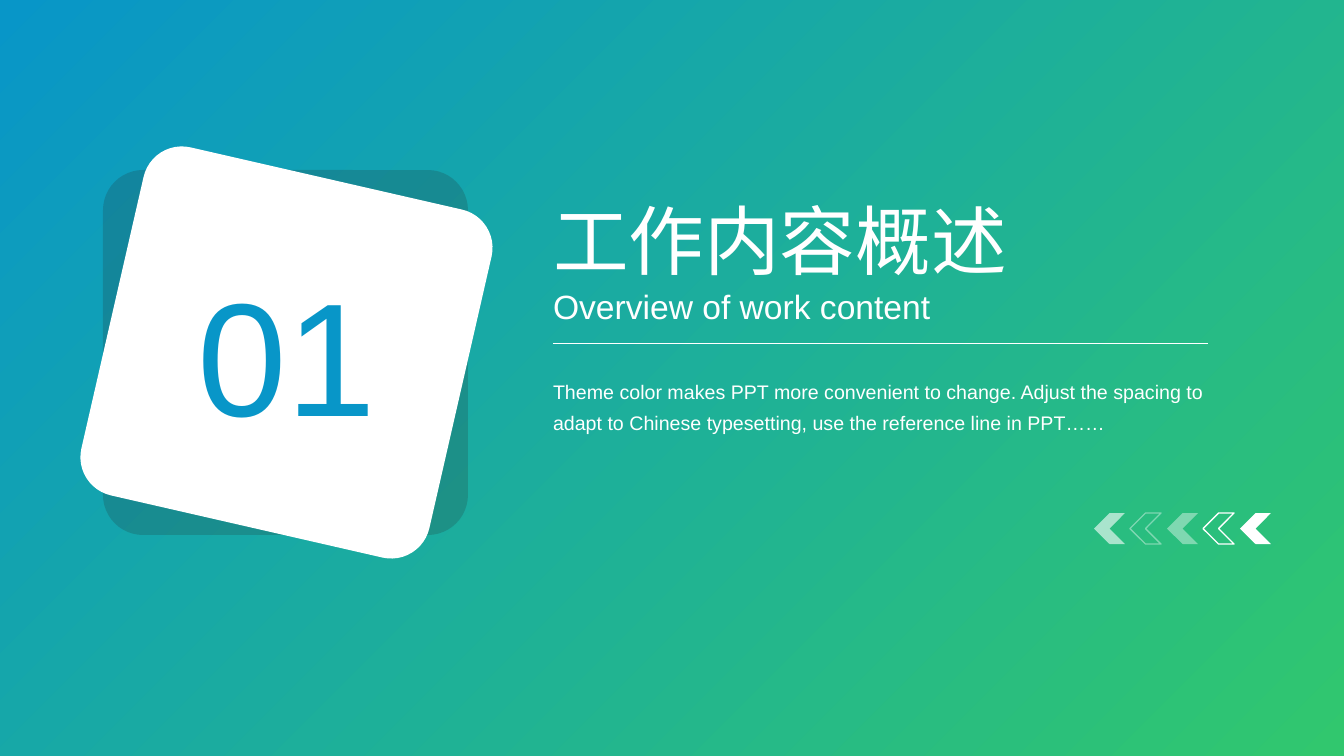
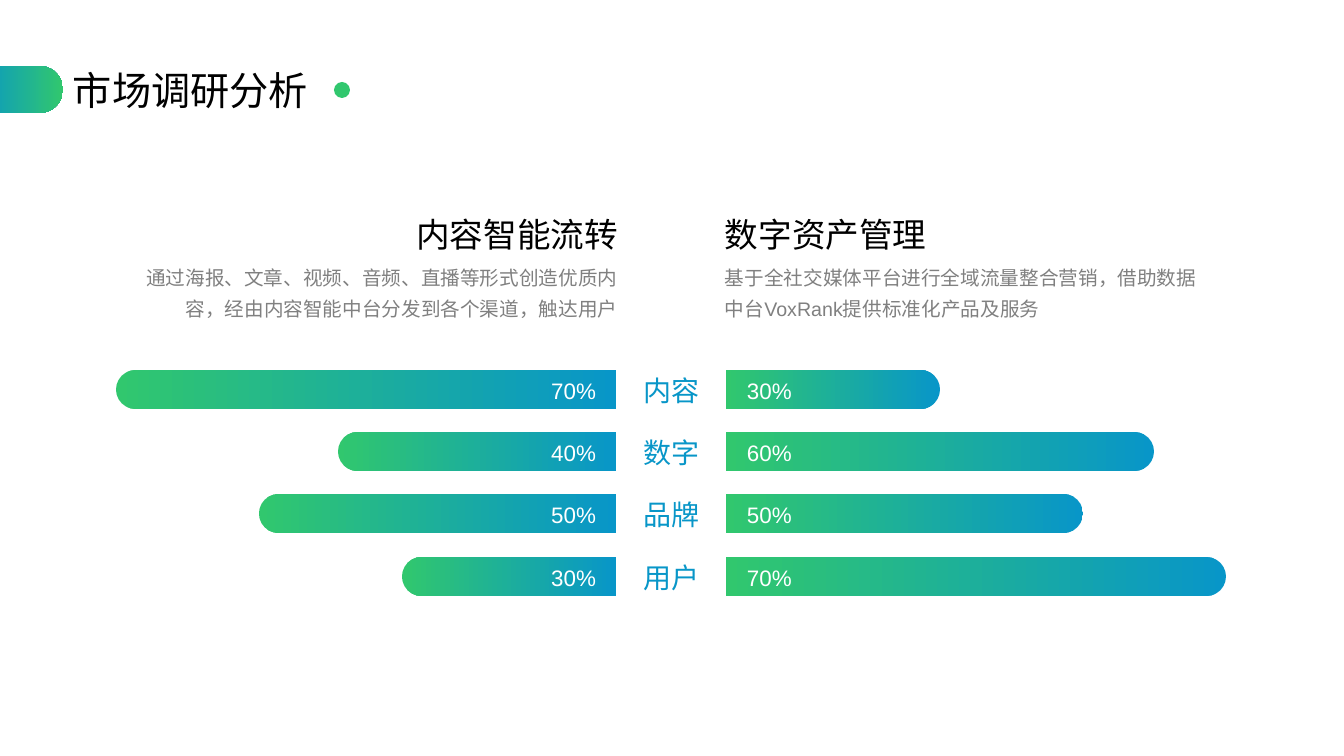
import dataclasses

import lxml.etree
import pptx
import pptx.dml.color
import pptx.enum.shapes
import pptx.enum.text
import pptx.oxml.ns
import pptx.util

WIDE, HIGH = 1344, 756
KIND = pptx.enum.shapes.MSO_SHAPE
ALIGN = pptx.enum.text.PP_ALIGN
ANCHOR = pptx.enum.text.MSO_ANCHOR
qn = pptx.oxml.ns.qn


@dataclasses.dataclass(frozen=True)
class Theme:
    font: str = "Arial"
    blue: str = "0896C8"
    green: str = "31C76E"
    white: str = "FFFFFF"
    black: str = "000000"
    grey: str = "808080"
    shade: str = "262626"
    number: int = 115
    cover: int = 54
    title: int = 28
    head: int = 24
    label: int = 20
    value: int = 16
    body: int = 14


LOOK = Theme()


def px(n):
    return pptx.util.Emu(round(n * 12192000 / WIDE))


def rgb(code):
    return pptx.dml.color.RGBColor.from_string(code)


def blend(fill, first, last, angle):
    """Two-colour gradient; the angle runs counter-clockwise."""
    fill.gradient()
    fill.gradient_angle = angle
    for stop, code in zip(fill.gradient_stops, (first, last)):
        stop.color.rgb = rgb(code)


def fade(shape, share):
    """Set the opacity of the shape's solid colours, in percent."""
    for node in shape.element.spPr.iter(qn("a:srgbClr")):
        lxml.etree.SubElement(node, qn("a:alpha")).set("val", str(share * 1000))


def draw(shapes, kind, box, fill=None, line=None, turn=0, adjust=()):
    shape = shapes.add_shape(kind, *map(px, box))
    shape.shadow.inherit = False
    shape.rotation = turn
    for i, value in enumerate(adjust):
        shape.adjustments[i] = value
    if fill:
        shape.fill.solid()
        shape.fill.fore_color.rgb = rgb(fill)
    else:
        shape.fill.background()
    if line:
        shape.line.color.rgb = rgb(line)
        shape.line.width = pptx.util.Pt(1)
    else:
        shape.line.fill.background()
    return shape


def write(frame, text, size, color, align=ALIGN.LEFT, anchor=ANCHOR.TOP,
          space=None, after=None):
    frame.word_wrap = True
    frame.auto_size = pptx.enum.text.MSO_AUTO_SIZE.NONE
    frame.vertical_anchor = anchor
    frame.margin_left = frame.margin_right = 0
    frame.margin_top = frame.margin_bottom = 0
    para = frame.paragraphs[0]
    para.alignment = align
    if space:
        para.line_spacing = space
    if after:
        para.space_after = pptx.util.Pt(after)
    run = para.add_run()
    run.text = text
    run.font.name = LOOK.font
    run.font.size = pptx.util.Pt(size)
    run.font.color.rgb = rgb(color)


def label(slide, box, text, size, color, **form):
    shape = slide.shapes.add_textbox(*map(px, box))
    write(shape.text_frame, text, size, color, **form)


def name(slide, box, text, size, color):
    """Place and fill the title placeholder."""
    title = slide.shapes.title
    title.left, title.top, title.width, title.height = map(px, box)
    write(title.text_frame, text, size, color)


def badge(slide, x, y, side, text):
    """Section number on a tilted card over a dark square."""
    back = draw(slide.shapes, KIND.ROUNDED_RECTANGLE, (x, y, side, side),
                LOOK.shade, adjust=[0.11])
    fade(back, 20)
    draw(slide.shapes, KIND.ROUNDED_RECTANGLE,
         (x + 5, y + 4, side - 8, side - 8), LOOK.white, turn=12.9, adjust=[0.11])
    label(slide, (x + 25, y + 85, 318, 196), text, LOOK.number, LOOK.blue,
          align=ALIGN.CENTER)


def intro(slide, x, y, w, title, sub, body):
    """Section title, subtitle, rule and summary."""
    name(slide, (x, y, w, 92), title, LOOK.cover, LOOK.white)
    label(slide, (x, y + 92, w, 40), sub, LOOK.head, LOOK.white)
    rule = slide.shapes.add_connector(
        pptx.enum.shapes.MSO_CONNECTOR.STRAIGHT,
        *map(px, (x, y + 149, x + w, y + 149)))
    rule.line.color.rgb = rgb(LOOK.white)
    rule.line.width = pptx.util.Pt(0.5)
    lxml.etree.SubElement(rule.element.spPr, qn("a:effectLst"))
    label(slide, (x, y + 179, w, 91), body, LOOK.body, LOOK.white, space=1.3)


def arrows(slide, x, y, side):
    """Row of left-pointing chevrons, solid and hollow by turns."""
    group = slide.shapes.add_group_shape()
    for i, share in enumerate((60, 40, 40, 100, 100)):
        paint = "line" if i % 2 else "fill"
        arrow = draw(group.shapes, KIND.CHEVRON,
                     (x + 73 * i // 2, y, side, side), turn=180,
                     **{paint: LOOK.white})
        if share < 100:
            fade(arrow, share)


def header(slide, y, text):
    """Title between a bleeding tab and a dot."""
    name(slide, (73, y, 278, 47), text, LOOK.title, LOOK.black)
    draw(slide.shapes, KIND.OVAL, (334, y + 16, 16, 16), LOOK.green)
    tab = draw(slide.shapes, KIND.ROUNDED_RECTANGLE, (-25, y, 88, 47), adjust=[0.5])
    blend(tab.fill, LOOK.blue, LOOK.green, 0)


def column(slide, x, y, w, head, body, align):
    label(slide, (x, y, w, 46), head, LOOK.head, LOOK.black, align=align, space=1.2)
    label(slide, (x, y + 53, w, 58), body, LOOK.body, LOOK.grey, align=align,
          space=1.3, after=10)


def bar(slide, edge, y, size, share, right):
    """Bar growing from its flat edge, green on the left, blue on the right."""
    thick = 39
    mid = edge + (size if right else -size) / 2
    shape = draw(slide.shapes, KIND.ROUND_2_SAME_RECTANGLE,
                 (mid - thick / 2, y + (thick - size) / 2, thick, size),
                 turn=90 if right else 270, adjust=[0.5, 0])
    tints = (LOOK.blue, LOOK.green) if right else (LOOK.green, LOOK.blue)
    blend(shape.fill, *tints, 270)
    label(slide, (edge + 21 if right else edge - 100, y, 80, 35), f"{share}%",
          LOOK.value, LOOK.white, align=ALIGN.LEFT if right else ALIGN.RIGHT,
          anchor=ANCHOR.MIDDLE, space=1.2)


def bars(slide, left, right, y, rows):
    """Mirrored bars around a middle column of labels."""
    for i, (text, near, far) in enumerate(rows):
        top = y + 187 * i // 3
        bar(slide, left, top, *near, right=False)
        bar(slide, right, top, *far, right=True)
        label(slide, ((left + right) // 2 - 39, top - 1, 80, 35), text,
              LOOK.label, LOOK.blue, align=ALIGN.CENTER, anchor=ANCHOR.MIDDLE,
              space=1.2)


def section(slide):
    blend(slide.background.fill, LOOK.blue, LOOK.green, 315)
    badge(slide, 103, 170, 365, "01")
    intro(slide, 553, 194, 655, "工作内容概述", "Overview of work content",
          "Theme color makes PPT more convenient to change. Adjust the spacing "
          "to adapt to Chinese typesetting, use the reference line in PPT……")
    arrows(slide, 1094, 513, 31)


def survey(slide):
    header(slide, 66, "市场调研分析")
    column(slide, 142, 206, 476, "内容智能流转",
           "通过海报、文章、视频、音频、直播等形式创造优质内容，"
           "经由内容智能中台分发到各个渠道，触达用户", ALIGN.RIGHT)
    column(slide, 725, 206, 476, "数字资产管理",
           "基于全社交媒体平台进行全域流量整合营销，"
           "借助数据中台VoxRank提供标准化产品及服务", ALIGN.LEFT)
    bars(slide, 616, 726, 370, (
        ("内容", (500, 70), (214, 30)),
        ("数字", (278, 40), (428, 60)),
        ("品牌", (357, 50), (357, 50)),
        ("用户", (214, 30), (500, 70)),
    ))


def main():
    deck = pptx.Presentation()
    deck.slide_width, deck.slide_height = px(WIDE), px(HIGH)
    for build in (section, survey):
        build(deck.slides.add_slide(deck.slide_layouts[5]))
    deck.save("out.pptx")


if __name__ == "__main__":
    main()
